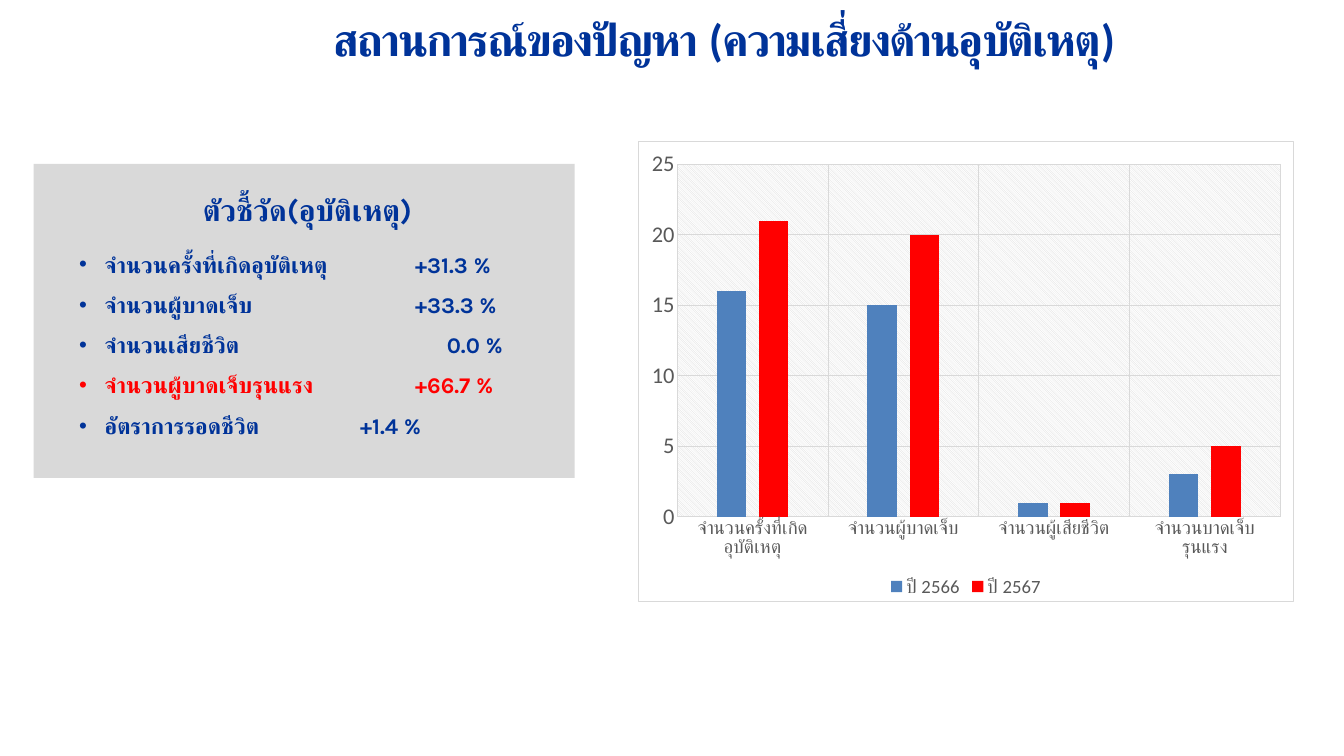
from lxml.etree import SubElement
from pptx import Presentation
from pptx.chart.data import CategoryChartData
from pptx.dml.color import RGBColor
from pptx.enum.chart import XL_CHART_TYPE, XL_LEGEND_POSITION, XL_TICK_MARK
from pptx.enum.shapes import MSO_SHAPE
from pptx.oxml import parse_xml
from pptx.oxml.ns import nsdecls, qn
from pptx.util import Inches, Pt

NAVY, RED, BLUE = "003399", "FF0000", "4F81BD"
GRAY, TEXT_GRAY, WHITE = "D9D9D9", "595959", "FFFFFF"

# Label, value, tab position of the value in inches, colour
INDICATORS = [
    ("จำนวนครั้งที่เกิดอุบัติเหตุ", "+31.3 %", 5.0, NAVY),
    ("จำนวนผู้บาดเจ็บ", "+33.3 %", 5.0, NAVY),
    ("จำนวนเสียชีวิต", "0.0 %", 5.47, NAVY),
    ("จำนวนผู้บาดเจ็บรุนแรง", "+66.7 %", 5.0, RED),
    ("อัตราการรอดชีวิต", "+1.4 %", 4.18, NAVY),
]
CATEGORIES = ["จำนวนครั้งที่เกิดอุบัติเหตุ", "จำนวนผู้บาดเจ็บ", "จำนวนผู้เสียชีวิต", "จำนวนบาดเจ็บรุนแรง"]
SERIES = [("ปี 2566", (16, 15, 1, 3), BLUE), ("ปี 2567", (21, 20, 1, 5), RED)]


def color(value):
    return RGBColor.from_string(value)


def style_font(font, name, size, font_color, bold=False):
    font.name, font.size, font.bold = name, Pt(size), bold
    font.color.rgb = color(font_color)


def style_line(line):
    line.color.rgb = color(GRAY)
    line.width = Pt(0.75)


class SlideBuilder:
    body_font = "Karla"
    chart_font = "Calibri"

    def __init__(self, slide):
        self.slide = slide

    def panel(self, left, top, width, height):
        shape = self.slide.shapes.add_shape(
            MSO_SHAPE.RECTANGLE, Inches(left), Inches(top), Inches(width), Inches(height))
        shape.shadow.inherit = False
        shape.fill.solid()
        shape.fill.fore_color.rgb = color(GRAY)
        shape.line.fill.background()

    def text_frame(self, left, top, width, height):
        box = self.slide.shapes.add_textbox(Inches(left), Inches(top), Inches(width), Inches(height))
        box.text_frame.word_wrap = True
        return box.text_frame

    def title(self, text, left, top, width, height):
        frame = self.text_frame(left, top, width, height)
        frame.margin_left = frame.margin_right = frame.margin_bottom = 0
        frame.margin_top = Inches(0.01)
        frame.text = text
        run = frame.paragraphs[0].runs[0]
        style_font(run.font, "Calibri", 48, NAVY, True)
        run.font._element.set("spc", "-210")

    def heading(self, text, left, top, width, height):
        frame = self.text_frame(left, top, width, height)
        frame.text = text
        style_font(frame.paragraphs[0].runs[0].font, self.body_font, 32, NAVY, True)

    def indicator_list(self, indicators, left, top, width, height):
        frame = self.text_frame(left, top, width, height)
        for index, (label, value, tab, text_color) in enumerate(indicators):
            paragraph = frame.add_paragraph() if index else frame.paragraphs[0]
            paragraph.text = f"{label}\t{value}"
            paragraph.line_spacing = 1.5
            properties = paragraph._p.get_or_add_pPr()
            properties.set("marL", str(Inches(0.38)))
            properties.set("indent", str(Inches(-0.38)))
            SubElement(properties, qn("a:buFont"), typeface="Arial")
            SubElement(properties, qn("a:buChar"), char="•")
            tabs = SubElement(properties, qn("a:tabLst"))
            SubElement(tabs, qn("a:tab"), pos=str(Inches(tab)), algn="l")
            for run in paragraph.runs:
                style_font(run.font, self.body_font, 24, text_color, True)

    def column_chart(self, categories, series, left, top, width, height):
        data = CategoryChartData()
        data.categories = categories
        for name, values, _ in series:
            data.add_series(name, values)
        chart = self.slide.shapes.add_chart(
            XL_CHART_TYPE.COLUMN_CLUSTERED, Inches(left), Inches(top),
            Inches(width), Inches(height), data).chart
        chart.has_title = False
        style_font(chart.font, self.chart_font, 10, "000000")
        for axis, size in ((chart.category_axis, 20), (chart.value_axis, 24)):
            axis.major_tick_mark = axis.minor_tick_mark = XL_TICK_MARK.NONE
            axis.has_major_gridlines = True
            style_line(axis.major_gridlines.format.line)
            style_font(axis.tick_labels.font, self.chart_font, size, TEXT_GRAY)
        style_line(chart.category_axis.format.line)
        chart.value_axis.format.line.fill.background()
        chart.value_axis.minimum_scale = 0
        chart.value_axis.maximum_scale = 25
        chart.value_axis.major_unit = 5

        chart.has_legend = True
        chart.legend.position = XL_LEGEND_POSITION.BOTTOM
        chart.legend.include_in_layout = False
        style_font(chart.legend.font, self.chart_font, 20, TEXT_GRAY)

        plot = chart.plots[0]
        plot.gap_width, plot.overlap = 267, -43
        plot.vary_by_categories = False
        for chart_series, (_, _, fill_color) in zip(plot.series, series):
            chart_series.format.fill.solid()
            chart_series.format.fill.fore_color.rgb = color(fill_color)
        self.chart_backgrounds(chart)

    def chart_backgrounds(self, chart):
        """Hatch the plot area and give the whole chart a white, framed background."""
        plot_area = chart._chartSpace.chart.plotArea
        plot_area.append(parse_xml(
            f'<c:spPr {nsdecls("c", "a")}><a:pattFill prst="ltDnDiag">'
            f'<a:fgClr><a:srgbClr val="{GRAY}"/></a:fgClr>'
            f'<a:bgClr><a:srgbClr val="{WHITE}"/></a:bgClr></a:pattFill>'
            '<a:ln><a:noFill/></a:ln></c:spPr>'))
        chart._chartSpace.chart.addnext(parse_xml(
            f'<c:spPr {nsdecls("c", "a")}><a:solidFill><a:srgbClr val="{WHITE}"/></a:solidFill>'
            f'<a:ln w="{Pt(0.75)}"><a:solidFill><a:srgbClr val="{GRAY}"/></a:solidFill></a:ln></c:spPr>'))


def main():
    presentation = Presentation()
    presentation.slide_width, presentation.slide_height = Inches(20), Inches(11.25)
    builder = SlideBuilder(presentation.slides.add_slide(presentation.slide_layouts[6]))
    builder.panel(0.5, 2.44, 8.05, 4.67)
    builder.title("สถานการณ์ของปัญหา (ความเสี่ยงด้านอุบัติเหตุ)", 4.96, 0.17, 13.97, 0.82)
    builder.column_chart(CATEGORIES, SERIES, 9.5, 2.1, 9.75, 6.86)
    builder.heading("ตัวชี้วัด(อุบัติเหตุ)", 2.92, 2.8, 3.75, 0.64)
    builder.indicator_list(INDICATORS, 1.08, 3.48, 7.42, 4.48)
    presentation.save("out.pptx")


if __name__ == "__main__":
    main()
